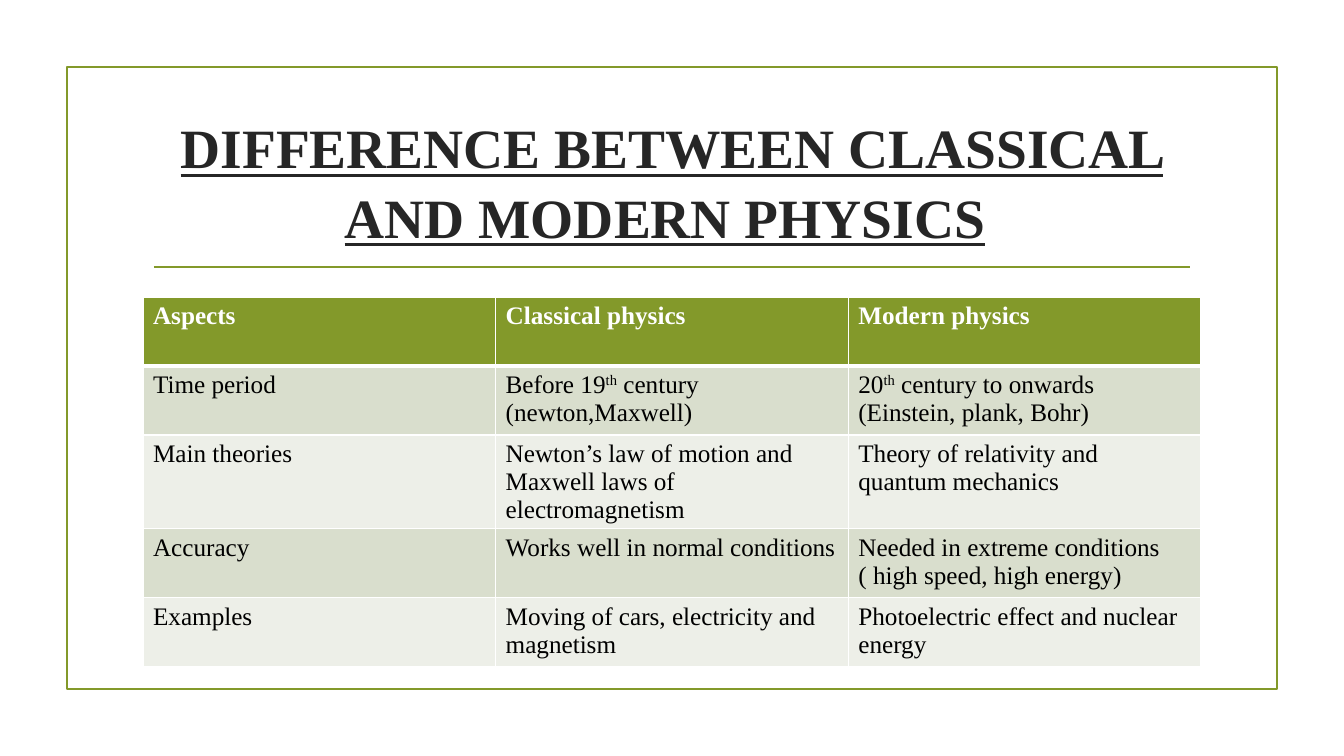
from lxml.etree import SubElement
from pptx import Presentation
from pptx.dml.color import RGBColor
from pptx.enum.shapes import MSO_CONNECTOR as Connector, MSO_SHAPE as Shape
from pptx.enum.text import MSO_ANCHOR as Anchor, MSO_AUTO_SIZE as AutoSize, PP_ALIGN as Align
from pptx.oxml.ns import qn
from pptx.util import Pt

PX = 914400 / 100.8
THEME = {
    "font": "Times New Roman",
    "green": "83992A", "title": "262626", "white": "FFFFFF", "black": "000000",
    "bands": ("D9DECD", "EDEFE8"),
    "title_size": 39.6, "table_size": 18, "line_width": 1.25,
}


def px(*lengths):
    return [round(length * PX) for length in lengths]


def add_text(paragraph, text, size, color, bold=False, underline=False):
    """Add text; a part between bars is set as superscript."""
    for index, part in enumerate(text.split("|")):
        run = paragraph.add_run()
        run.text = part
        font = run.font
        font.name, font.size = THEME["font"], Pt(size)
        font.bold, font.underline = bold, underline
        font.color.rgb = RGBColor.from_string(color)
        if index % 2:
            run._r.get_or_add_rPr().set("baseline", "30000")


presentation = Presentation()
presentation.slide_width, presentation.slide_height = px(1344, 756)
slide = presentation.slides.add_slide(presentation.slide_layouts[5])
green = RGBColor.from_string(THEME["green"])

# Title
title = slide.shapes.title
title.left, title.top, title.width, title.height = px(143, 108, 1058, 144)
frame = title.text_frame
frame.word_wrap, frame.auto_size = True, AutoSize.NONE
frame.vertical_anchor = Anchor.MIDDLE
paragraph = frame.paragraphs[0]
paragraph.alignment = Align.CENTER
paragraph.line_spacing = 1.04
add_text(paragraph, "DIFFERENCE BETWEEN CLASSICAL AND MODERN PHYSICS",
         size=THEME["title_size"], color=THEME["title"], bold=True, underline=True)
add_text(paragraph, " ", size=THEME["title_size"], color=THEME["title"])

# Border and rule under the title
border = slide.shapes.add_shape(Shape.RECTANGLE, *px(67, 67, 1210, 622))
border.shadow.inherit = False
border.fill.background()
rule = slide.shapes.add_connector(Connector.STRAIGHT, *px(154, 267, 1190, 267))
SubElement(rule._element.spPr, qn("a:effectLst"))
for shape in (border, rule):
    shape.line.color.rgb = green
    shape.line.width = Pt(THEME["line_width"])

# Comparison table
ROWS = [
    ("Aspects", "Classical physics", "Modern physics"),
    ("Time period", "Before 19|th| century (newton,Maxwell)",
     "20|th| century to onwards (Einstein, plank, Bohr)"),
    ("Main theories", "Newton’s law of motion and Maxwell laws of electromagnetism",
     "Theory of relativity and quantum mechanics"),
    ("Accuracy", "Works well in normal conditions",
     "Needed in extreme conditions ( high speed, high energy)"),
    ("Examples", "Moving of cars, electricity and magnetism",
     "Photoelectric effect and nuclear energy"),
]
ROW_HEIGHT = 69
table = slide.shapes.add_table(len(ROWS), len(ROWS[0]),
                               *px(143, 297, 1058, ROW_HEIGHT * len(ROWS))).table
for row_index, texts in enumerate(ROWS):
    header = row_index == 0
    fill = THEME["green"] if header else THEME["bands"][(row_index - 1) % 2]
    for column_index, text in enumerate(texts):
        cell = table.cell(row_index, column_index)
        add_text(cell.text_frame.paragraphs[0], text, size=THEME["table_size"],
                 color=THEME["white" if header else "black"], bold=header)
        # White cell borders, thicker between the header and the body
        properties = cell._tc.get_or_add_tcPr()
        for side in ("lnL", "lnR", "lnT", "lnB"):
            thick = (row_index, side) in ((0, "lnB"), (1, "lnT"))
            line = SubElement(properties, qn(f"a:{side}"), w=str(Pt(3 if thick else 1)))
            solid = SubElement(line, qn("a:solidFill"))
            SubElement(solid, qn("a:srgbClr"), val=THEME["white"])
        cell.fill.solid()
        cell.fill.fore_color.rgb = RGBColor.from_string(fill)

presentation.save("out.pptx")
